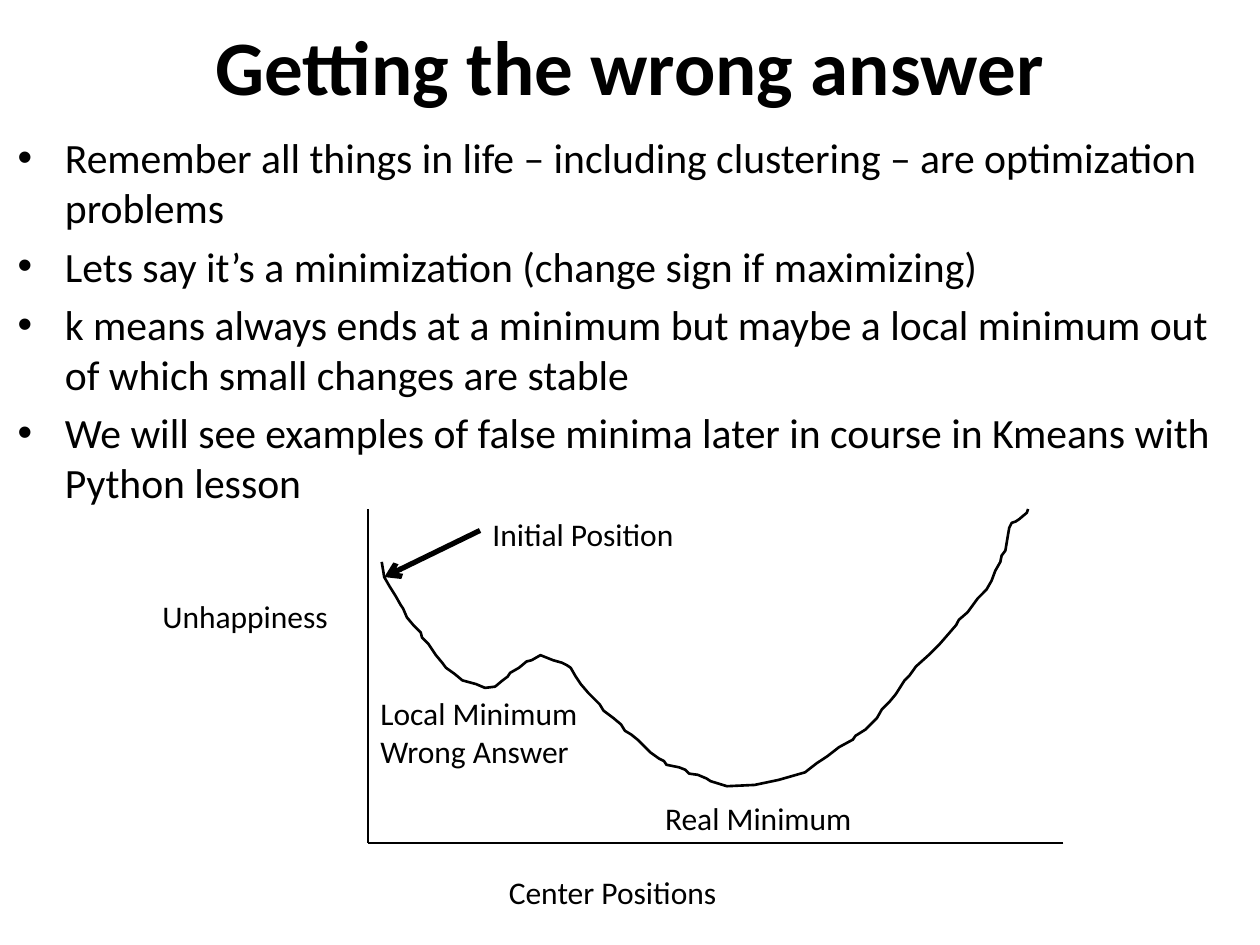
from dataclasses import dataclass

from lxml.etree import SubElement
from pptx import Presentation
from pptx.dml.color import RGBColor
from pptx.enum.text import MSO_AUTO_SIZE as AutoSize, MSO_ANCHOR as Anchor, PP_ALIGN as Align
from pptx.enum.shapes import MSO_CONNECTOR as Connector
from pptx.oxml.ns import qn
from pptx.util import Pt

PX = 9144


@dataclass(frozen=True)
class Theme:
    font: str = "Calibri"
    ink: RGBColor = RGBColor(0, 0, 0)
    title: float = 44
    body: float = 23.8
    label: float = 18
    axis: float = 1
    curve: float = 1.5
    arrow: float = 3


THEME = Theme()

BULLETS = [
    "Remember all things in life – including clustering – are optimization problems",
    "Lets say it’s a minimization (change sign if maximizing)",
    "k means always ends at a minimum but maybe a local minimum out of which small changes are stable",
    "We will see examples of false minima later in course in Kmeans with Python lesson",
]

LABELS = [
    ("Unhappiness", -173, 65, 153, 40),
    ("Real Minimum", 226, 225, 170, 40),
    ("Local Minimum\nWrong Answer", 0, 142, 178, 71),
    ("Initial Position", 89, 0, 166, 40),
    ("Center Positions", 102, 284, 187, 40),
]

CURVE = [
    (11, 42), (13, 54), (17, 61), (22, 69), (26, 76), (28, 79), (31, 86),
    (36, 92), (42, 98), (43, 102), (48, 107), (50, 110), (54, 116), (59, 122),
    (62, 126), (69, 131), (75, 136), (86, 139), (93, 142), (101, 141), (107, 136),
    (111, 133), (113, 130), (120, 126), (126, 121), (130, 120), (137, 116),
    (147, 120), (154, 122), (158, 124), (161, 126), (165, 133), (169, 139),
    (175, 146), (181, 152), (184, 155), (187, 160), (195, 166), (201, 171),
    (204, 176), (209, 179), (214, 183), (224, 193), (231, 198), (235, 200),
    (237, 203), (247, 205), (252, 207), (255, 210), (262, 211), (269, 214),
    (272, 216), (285, 220), (307, 219), (326, 215), (347, 209), (356, 202),
    (365, 196), (374, 189), (385, 183), (387, 180), (395, 175), (401, 169),
    (404, 166), (408, 159), (414, 153), (419, 147), (426, 136), (430, 132),
    (435, 125), (445, 116), (454, 107), (461, 99), (467, 92), (469, 88),
    (476, 82), (484, 71), (491, 64), (495, 57), (498, 49), (502, 42),
    (503, 37), (506, 33), (509, 15), (511, 11), (514, 10), (517, 8),
    (523, 3), (524, 0),
]


def place(sp, left, top, width, height):
    sp.left, sp.top, sp.width, sp.height = (n * PX for n in (left, top, width, height))


def style(p, size, align=Align.LEFT, bold=False):
    p.alignment = align
    p.font.name, p.font.size, p.font.bold = THEME.font, Pt(size), bold
    p.font.color.rgb = THEME.ink


def add_title(slide, text, *box):
    sp = slide.shapes.title
    place(sp, *box)
    tf = sp.text_frame
    tf.text = text
    tf.auto_size, tf.vertical_anchor = AutoSize.NONE, Anchor.MIDDLE
    style(tf.paragraphs[0], THEME.title, Align.CENTER, True)


def add_bullets(slide, items, *box):
    sp = slide.placeholders[1]
    place(sp, *box)
    tf = sp.text_frame
    tf.text = "\n".join(items)
    tf.auto_size = AutoSize.NONE
    for p in tf.paragraphs:
        style(p, THEME.body)


def add_label(shapes, text, *box):
    sp = shapes.add_textbox(*(n * PX for n in box))
    tf = sp.text_frame
    tf.word_wrap, tf.auto_size = False, AutoSize.SHAPE_TO_FIT_TEXT
    p = tf.paragraphs[0]
    p.text = text
    style(p, THEME.label)


def add_line(shapes, x1, y1, x2, y2, width):
    line = shapes.add_connector(Connector.STRAIGHT, x1 * PX, y1 * PX, x2 * PX, y2 * PX)
    line.line.color.rgb, line.line.width = THEME.ink, Pt(width)
    SubElement(line._element.spPr, qn("a:effectLst"))
    return line


def add_curve(shapes, points):
    builder = shapes.build_freeform(*points[0], scale=PX)
    builder.add_line_segments(points[1:], close=False)
    sp = builder.convert_to_shape()
    sp.fill.background()
    sp.line.color.rgb, sp.line.width = THEME.ink, Pt(THEME.curve)
    sp.shadow.inherit = False


def add_diagram(slide, left, top, width, height):
    shapes = slide.shapes.add_group_shape().shapes
    right, bottom = left + width, top + height
    add_curve(shapes, [(left + x, top + y) for x, y in CURVE])
    add_line(shapes, left, top, left, bottom, THEME.axis)
    add_line(shapes, right, bottom, left, bottom, THEME.axis)
    arrow = add_line(shapes, left + 89, top + 17, left + 13, top + 54, THEME.arrow)
    SubElement(arrow.line._get_or_add_ln(), qn("a:tailEnd"), type="arrow")
    for text, x, y, w, h in LABELS:
        add_label(shapes, text, left + x, top + y, w, h)


def main():
    prs = Presentation()
    prs.slide_width, prs.slide_height = 1000 * PX, 750 * PX
    slide = prs.slides.add_slide(prs.slide_layouts[1])
    add_title(slide, "Getting the wrong answer", 50, 3, 900, 97)
    add_bullets(slide, BULLETS, 4, 100, 967, 269)
    add_diagram(slide, 292, 404, 552, 265)
    prs.save("out.pptx")


if __name__ == "__main__":
    main()
